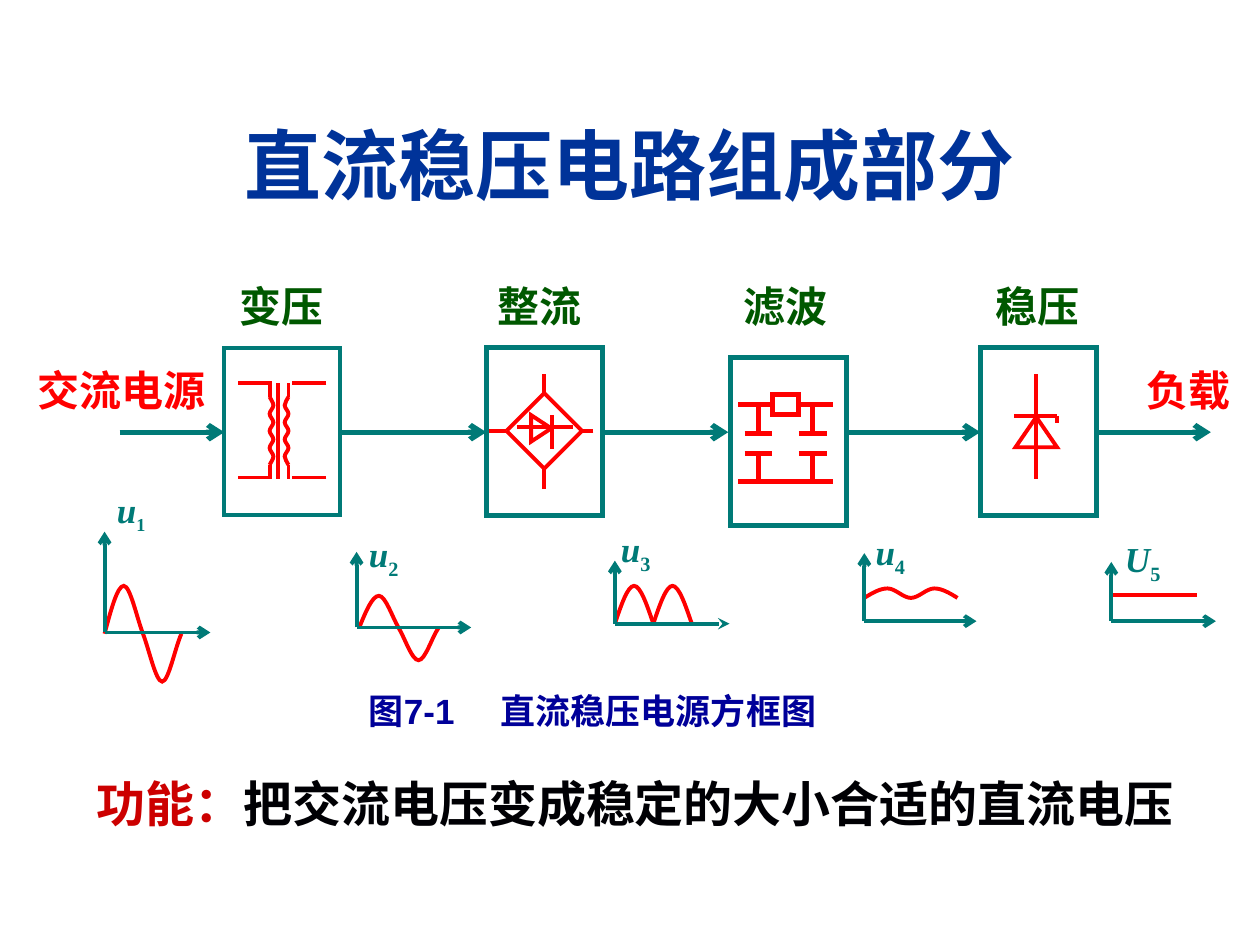
from dataclasses import dataclass

from lxml.etree import SubElement
from pptx import Presentation
from pptx.dml.color import RGBColor
from pptx.enum.shapes import MSO_CONNECTOR, MSO_SHAPE
from pptx.enum.text import MSO_ANCHOR, PP_ALIGN
from pptx.oxml.ns import qn
from pptx.util import Pt


@dataclass(frozen=True)
class Theme:
    title: str = "003399"
    stage: str = "005800"
    signal: str = "FF0000"
    frame: str = "007A77"
    caption: str = "000099"
    lead: str = "CC0000"
    body: str = "000004"
    serif: str = "Times New Roman"
    sans: str = "Arial"
    title_size: int = 44
    body_size: int = 28
    label_size: int = 24
    small_size: int = 20
    subscript_size: int = 18
    thick: float = 3
    thin: float = 2.24


THEME = Theme()
FLOW_Y = 246.96
BOX_WIDTH, BOX_HEIGHT = 66.24, 95.76
LABEL_WIDTH = 64.8

# Relative heights of evenly spaced Bezier nodes, three to a segment
SINE = [0, 0.5, 1, 1, 1, 0.35, 0, -0.35, -1, -1, -1, -0.3, 0]
HUMP = [0, 0.5, 1, 1, 1, 0.5, 0]
RIPPLE = [0, 0.5, 1, 1, 1, 0, 0, 0, 1, 1, 1, 0.5, 0]
COIL = [0, 0.33, 1, 1] + [1, 0, 0, 0, 1, 1] * 3 + [1, 0.33, 0]


# Basic elements
def style_line(line, color, width):
    line.color.rgb = RGBColor.from_string(color)
    line.width = Pt(width)
    SubElement(line._get_or_add_ln(), qn("a:miter"), lim="800000")


def add_line(shapes, x1, y1, x2, y2, color=THEME.signal, width=THEME.thin, head=None):
    line = shapes.add_connector(MSO_CONNECTOR.STRAIGHT, Pt(x1), Pt(y1), Pt(x2), Pt(y2))
    style_line(line.line, color, width)
    if head:
        SubElement(line.line._get_or_add_ln(), qn("a:tailEnd"), type=head)
    SubElement(line._element.spPr, qn("a:effectLst"))


def outline(shape, color, width):
    shape.shadow.inherit = False
    shape.fill.background()
    style_line(shape.line, color, width)


def add_outline(shapes, kind, x, y, width, height, color=THEME.signal, weight=THEME.thin):
    shape = shapes.add_shape(kind, Pt(x), Pt(y), Pt(width), Pt(height))
    outline(shape, color, weight)
    return shape


def add_curve(shapes, points):
    """Draw cubic segments through a start point and triples of nodes."""
    start, *nodes = [(Pt(x), Pt(y)) for x, y in points]
    builder = shapes.build_freeform(*start)
    builder.add_line_segments(nodes, close=False)
    shape = builder.convert_to_shape()
    segments = list(shape._element.iter(qn("a:lnTo")))
    outline_element = segments[0].getparent()
    for index in range(0, len(segments), 3):
        cubic = SubElement(outline_element, qn("a:cubicBezTo"))
        for segment in segments[index:index + 3]:
            cubic.append(segment[0])
            outline_element.remove(segment)
    outline(shape, THEME.signal, THEME.thin)


def add_text(shapes, box, parts, size, font=THEME.serif):
    """Each part is a pair of text and colour."""
    text_frame = shapes.add_textbox(*map(Pt, box)).text_frame
    text_frame.word_wrap = True
    paragraph = text_frame.paragraphs[0]
    for text, color in parts:
        run = paragraph.add_run()
        run.text = text
        run.font.name, run.font.size, run.font.bold = font, Pt(size), True
        run.font.color.rgb = RGBColor.from_string(color)
    return text_frame


# Symbols inside the stages
def draw_transformer(shapes):
    core, top, bottom = 159.12, 218.88, 273.6
    coil_top, coil_bottom = 226.8, 265.68
    pitch = (coil_bottom - coil_top) / (len(COIL) - 1)
    add_line(shapes, core, top, core, bottom)
    for side, coil, inner, outer in ((1, 154.08, 155.52, 136.08), (-1, 164.88, 167.04, 186.48)):
        add_line(shapes, coil, top, coil, coil_top)
        add_line(shapes, coil, bottom, coil, coil_bottom)
        add_curve(shapes, [(coil + side * 2.16 * bulge, coil_top + pitch * index)
                           for index, bulge in enumerate(COIL)])
        for y in (top, 272.88):
            add_line(shapes, outer, y, inner, y)


def draw_rectifier(shapes):
    x, y, radius = 311.04, 246.24, 21.6
    corners = [(x, y - radius), (x + radius, y), (x, y + radius), (x - radius, y)]
    ends = [(x, 213.84), (339.12, y), (x, 279.36), (279.36, y)]
    for index, corner in enumerate(corners):
        add_line(shapes, *corner, *corners[index - 1])
        add_line(shapes, *ends[index], *corner)
    add_line(shapes, 315.36, 256.32, 315.36, 236.88)
    add_line(shapes, 295.2, 244.08, 327.6, 244.08)
    add_outline(shapes, MSO_SHAPE.ISOSCELES_TRIANGLE, 301.68, 239.04, 15.12, 11.52).rotation = 90


def draw_filter(shapes):
    left, right, top, bottom = 421.92, 475.92, 231.12, 275.04
    add_outline(shapes, MSO_SHAPE.RECTANGLE, 441.36, 225.36, 15.12, 11.52, weight=THEME.thick)
    segments = [(left, top, 441.36, top), (457.2, top, right, top), (left, bottom, right, bottom)]
    for x in (433.44, 464.4):
        for plate, rail in ((247.68, top), (259.2, 276.48)):
            segments += [(x - 7.92, plate, x + 7.92, plate), (x, plate, x, rail)]
    for segment in segments:
        add_line(shapes, *segment, width=THEME.thick)


def draw_zener(shapes):
    add_outline(shapes, MSO_SHAPE.ISOSCELES_TRIANGLE, 580.32, 238.32, 23.76, 17.28)
    add_line(shapes, 579.6, 237.6, 604.08, 237.6)
    add_line(shapes, 604.08, 237.6, 604.08, 241.92)
    add_line(shapes, 591.84, 273.6, 591.84, 213.84)


def draw_waveform(shapes, name, number, label_box, origin, top, right, trace, waves,
                  head="arrow", subscript_size=THEME.small_size):
    x, y, width, height = trace
    if not waves:
        add_line(shapes, x, y, x + width, y)
    for position, wave in enumerate(waves):
        span = width / len(waves)
        pitch = span / (len(wave) - 1)
        add_curve(shapes, [(x + span * position + pitch * index, y - height * level)
                           for index, level in enumerate(wave)])
    add_line(shapes, *origin, origin[0], top, THEME.frame, head="arrow")
    add_line(shapes, *origin, right, origin[1], THEME.frame, head=head)
    text_frame = add_text(shapes, label_box, [(name, THEME.frame), (number, THEME.frame)],
                          THEME.small_size)
    symbol, subscript = text_frame.paragraphs[0].runs
    symbol.font.italic = True
    subscript.font.size = Pt(subscript_size)
    subscript.font._element.set("baseline", "-25000")


def draw_block_diagram(shapes):
    # Stage name, label left, box left, box top, line width, symbol
    stages = [
        ("变压", 129.6, 128.16, 198.72, THEME.thin, draw_transformer),
        ("整流", 277.2, 277.92, 198.72, THEME.thick, draw_rectifier),
        ("滤波", 417.6, 417.6, 204.48, THEME.thick, draw_filter),
        ("稳压", 561.6, 560.16, 198.72, THEME.thick, draw_zener),
    ]
    start = 68.4
    for name, label_left, left, top, weight, draw_symbol in stages:
        add_text(shapes, (label_left, 156.96, LABEL_WIDTH, 36), [(name, THEME.stage)],
                 THEME.label_size)
        add_outline(shapes, MSO_SHAPE.RECTANGLE, left, top, BOX_WIDTH, BOX_HEIGHT,
                    THEME.frame, weight)
        tip = min(left, 416.16)if draw_symbol is draw_filter else left
        add_line(shapes, start, FLOW_Y, tip, FLOW_Y, THEME.frame, THEME.thick, "arrow")
        draw_symbol(shapes)
        start = left + BOX_WIDTH
    add_line(shapes, start, FLOW_Y, 691.92, FLOW_Y, THEME.frame, THEME.thick, "arrow")

    # Source and load
    source = add_text(shapes, (14.4, 204.48, 113.76, 36), [("交流电源", THEME.signal)],
                      THEME.label_size)
    source.paragraphs[0].space_before = Pt(15)
    add_text(shapes, (648, 204.48, LABEL_WIDTH, 36), [("负载", THEME.signal)], THEME.label_size)


def main():
    presentation = Presentation()
    presentation.slide_width, presentation.slide_height = Pt(720), Pt(540)
    slide = presentation.slides.add_slide(presentation.slide_layouts[6])
    shapes = slide.shapes

    # Title
    title = add_text(shapes, (23.76, 48.24, 672.48, 90), [("直流稳压电路组成部分", THEME.title)],
                     THEME.title_size, THEME.sans)
    title.vertical_anchor = MSO_ANCHOR.MIDDLE
    title.paragraphs[0].alignment = PP_ALIGN.CENTER

    draw_block_diagram(shapes.add_group_shape().shapes)

    # Waveforms: symbol, index, label box, origin, axis ends, trace, waves
    waveforms = [
        ("u", "1", (59.76, 275.76, 36, 33.84), (59.76, 361.44), 303.84, 120.24,
         (59.76, 362.16, 43.92, 27.36), [SINE], "arrow", THEME.subscript_size),
        ("u", "2", (203.76, 300.96, 44.64, 34.56), (203.76, 358.56), 315.36, 269.28,
         (205.2, 358.9, 45.36, 18.4), [SINE]),
        ("u", "3", (347.76, 298.08, 43.92, 34.56), (351.36, 356.4), 320.4, 416.88,
         (351.36, 356.4, 43.92, 21.6), [HUMP, HUMP], "stealth"),
        ("u", "4", (493.2, 299.52, 34.56, 34.56), (493.92, 354.96), 316.08, 558,
         (493.92, 341.64, 53.28, 5.4), [RIPPLE]),
        ("U", "5", (635.76, 303.84, 35.28, 34.56), (635.04, 354.96), 321.12, 694.8,
         (635.76, 339.84, 48.24, 0), []),
    ]
    for waveform in waveforms:
        draw_waveform(shapes.add_group_shape().shapes, *waveform)

    # Caption with a tab stop before the figure name
    caption = add_text(shapes, (203.76, 390.24, 288, 31.68),
                       [("图7-1\t直流稳压电源方框图", THEME.caption)],
                       THEME.small_size, THEME.sans)
    caption.paragraphs[0].space_before = Pt(12.5)
    tabs = SubElement(caption.paragraphs[0]._p.get_or_add_pPr(), qn("a:tabLst"))
    SubElement(tabs, qn("a:tab"), pos=str(Pt(75.3)), algn="l")

    # Function
    purpose = add_text(shapes, (48.24, 432, 671.76, 47.52),
                       [("功能：", THEME.lead), ("把交流电压变成稳定的大小合适的直流电压", THEME.body)],
                       THEME.body_size)
    purpose.paragraphs[0].line_spacing = 1.2

    presentation.save("out.pptx")


main()
